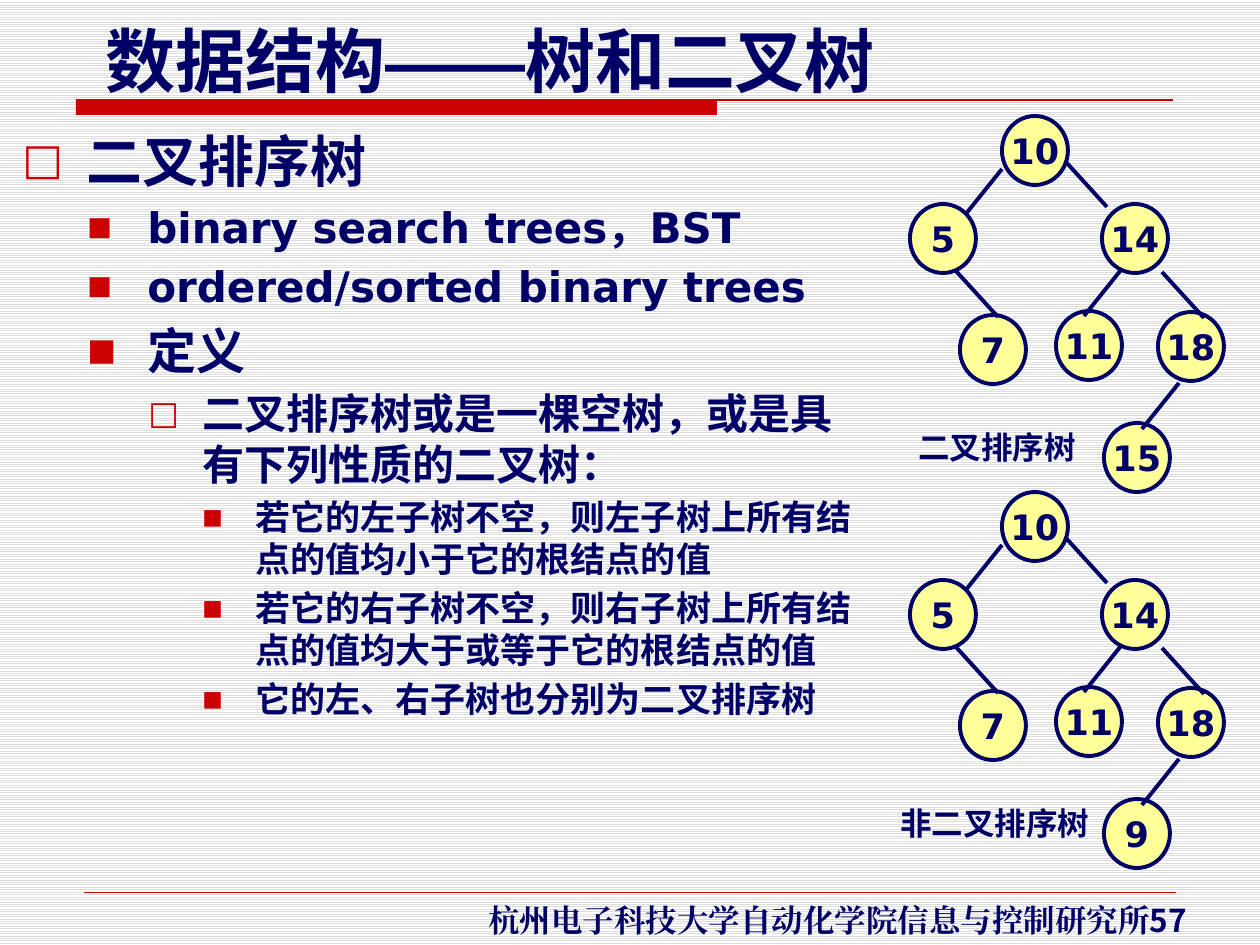
from typing import NamedTuple

from lxml.etree import SubElement
from pptx import Presentation
from pptx.dml.color import RGBColor
from pptx.enum.dml import MSO_PATTERN
from pptx.enum.shapes import MSO_CONNECTOR, MSO_SHAPE
from pptx.enum.text import MSO_ANCHOR, MSO_AUTO_SIZE, PP_ALIGN
from pptx.oxml.ns import qn
from pptx.util import Emu, Pt

NAVY = RGBColor(0x00, 0x00, 0x66)
RED = RGBColor(0xCC, 0x00, 0x00)
YELLOW = RGBColor(0xFF, 0xFF, 0x99)
GRAY = RGBColor(0xDD, 0xDD, 0xDD)
WHITE = RGBColor(0xFF, 0xFF, 0xFF)
FONT = "DejaVu Sans"
PIXELS_PER_INCH = 126
NODE_WIDTH, NODE_HEIGHT = 66, 69
TREE_GAP = 376


class Item(NamedTuple):
    text: str
    level: int
    size: int


class Level(NamedTuple):
    margin: int
    hanging: int
    bullet: str
    bullet_percent: int


class Edge(NamedTuple):
    x: int
    y: int
    run: int


class Tree(NamedTuple):
    top: int
    last_value: str
    label: str
    label_left: int
    label_width: int


LEVELS = [
    Level(64, 64, "□", 77),
    Level(125, 60, "■", 62),
    Level(180, 54, "□", 77),
    Level(233, 53, "■", 62),
]
ITEMS = [
    Item("二叉排序树", 0, 32),
    Item("binary search trees，BST", 1, 24),
    Item("ordered/sorted binary trees", 1, 24),
    Item("定义", 1, 28),
    Item("二叉排序树或是一棵空树，或是具有下列性质的二叉树：", 2, 24),
    Item("若它的左子树不空，则左子树上所有结点的值均小于它的根结点的值", 3, 20),
    Item("若它的右子树不空，则右子树上所有结点的值均大于或等于它的根结点的值", 3, 20),
    Item("它的左、右子树也分别为二叉排序树", 3, 20),
]
NODE_VALUES = ["10", "5", "14", "7", "11", "18"]
NODE_PLACES = [(1002, 0), (910, 88), (1102, 88), (960, 199), (1056, 195), (1158, 196), (1104, 307)]
EDGES = [
    Edge(1002, 53, -37), Edge(1121, 154, -37), Edge(1179, 267, -37),
    Edge(1065, 45, 42), Edge(1162, 156, 42), Edge(956, 155, 42),
]
EDGE_RISE = 46
TREES = [
    Tree(116, "15", "二叉排序树", 906, 184),
    Tree(116 + TREE_GAP, "9", "非二叉排序树", 888, 215),
]


def px(value: int) -> Emu:
    return Emu(round(value * 914400 / PIXELS_PER_INCH))


def style(font, size: int, name: str = FONT) -> None:
    font.size = Pt(size)
    font.bold = True
    font.color.rgb = NAVY
    font.name = name
    SubElement(font._rPr, qn("a:ea"), typeface=name)


def add_line(shapes, start: tuple, end: tuple, color: RGBColor, width: float) -> None:
    line = shapes.add_connector(MSO_CONNECTOR.STRAIGHT, *map(px, start + end))
    line.line.color.rgb = color
    line.line.width = Pt(width)
    SubElement(line._element.spPr, qn("a:effectLst"))


def add_shape(shapes, kind: MSO_SHAPE, box: tuple, fill: RGBColor):
    shape = shapes.add_shape(kind, *map(px, box))
    shape.shadow.inherit = False
    shape.fill.solid()
    shape.fill.fore_color.rgb = fill
    return shape


def add_label(shapes, box: tuple, text: str):
    frame = shapes.add_textbox(*map(px, box)).text_frame
    frame.word_wrap = False
    frame.auto_size = MSO_AUTO_SIZE.SHAPE_TO_FIT_TEXT
    frame.text = text
    return frame.paragraphs[0]


def add_node(shapes, left: int, top: int, value: str) -> None:
    node = add_shape(shapes, MSO_SHAPE.OVAL, (left, top, NODE_WIDTH, NODE_HEIGHT), YELLOW)
    node.line.color.rgb = NAVY
    node.line.width = Pt(2.25)
    frame = node.text_frame
    frame.word_wrap = False
    frame.vertical_anchor = MSO_ANCHOR.MIDDLE
    frame.text = value
    frame.paragraphs[0].alignment = PP_ALIGN.CENTER
    style(frame.paragraphs[0].font, 20)


def add_tree(slide, tree: Tree) -> None:
    shapes = slide.shapes.add_group_shape().shapes
    for (left, top), value in zip(NODE_PLACES, NODE_VALUES + [tree.last_value]):
        add_node(shapes, left, tree.top + top, value)
    for edge in EDGES:
        top = tree.top + edge.y
        add_line(shapes, (edge.x, top), (edge.x + edge.run, top + EDGE_RISE), NAVY, 2.25)
    box = (tree.label_left, tree.top + 306, tree.label_width, 50)
    style(add_label(shapes, box, tree.label).font, 18)


def add_bullet(paragraph, level: Level) -> None:
    properties = paragraph._p.get_or_add_pPr()
    properties.set("marL", str(px(level.margin)))
    properties.set("indent", str(-px(level.hanging)))
    color = SubElement(properties, qn("a:buClr"))
    SubElement(color, qn("a:srgbClr"), val=str(RED))
    SubElement(properties, qn("a:buSzPct"), val=str(level.bullet_percent * 1000))
    SubElement(properties, qn("a:buFont"), typeface=FONT)
    SubElement(properties, qn("a:buChar"), char=level.bullet)


def add_outline(slide) -> None:
    frame = slide.shapes.add_textbox(px(10), px(120), px(859), px(784)).text_frame
    frame.word_wrap = True
    for index, item in enumerate(ITEMS):
        paragraph = frame.add_paragraph() if index else frame.paragraphs[0]
        paragraph.text = item.text
        paragraph.level = item.level
        add_bullet(paragraph, LEVELS[item.level])
        if index:
            paragraph.space_before = Pt(item.size * 0.2)
        style(paragraph.font, item.size)


def add_title(slide) -> None:
    title = slide.shapes.title
    title.left, title.top, title.width, title.height = map(px, (93, 11, 798, 97))
    frame = title.text_frame
    frame.word_wrap = False
    frame.auto_size = MSO_AUTO_SIZE.NONE
    frame.vertical_anchor = MSO_ANCHOR.TOP
    paragraph = frame.paragraphs[0]
    paragraph.alignment = PP_ALIGN.LEFT
    for text, name in [("数据结构", FONT), ("——", "Arial"), ("树和二叉树", FONT)]:
        run = paragraph.add_run()
        run.text = text
        style(run.font, 40, name)


def add_footer(slide) -> None:
    add_line(slide.shapes, (84, 892), (1176, 892), RED, 0.25)
    paragraph = add_label(slide.shapes, (476, 895, 770, 50), "杭州电子科技大学自动化学院信息与控制研究所")
    style(paragraph.runs[0].font, 18, "Times New Roman")
    number = paragraph.add_run()
    number.text = "57"
    style(number.font, 18, "Noto Sans CJK SC")


def main() -> None:
    presentation = Presentation()
    presentation.slide_width, presentation.slide_height = px(1260), px(945)
    slide = presentation.slides.add_slide(presentation.slide_layouts[5])
    background = slide.background.fill
    background.patterned()
    background.pattern = MSO_PATTERN.LIGHT_HORIZONTAL
    background.fore_color.rgb = GRAY
    background.back_color.rgb = WHITE
    add_title(slide)
    bar = add_shape(slide.shapes, MSO_SHAPE.RECTANGLE, (76, 100, 641, 15), RED)
    bar.line.fill.background()
    add_line(slide.shapes, (76, 100), (1173, 100), RED, 0.75)
    add_footer(slide)
    add_outline(slide)
    for tree in TREES:
        add_tree(slide, tree)
    presentation.save("out.pptx")


if __name__ == "__main__":
    main()
